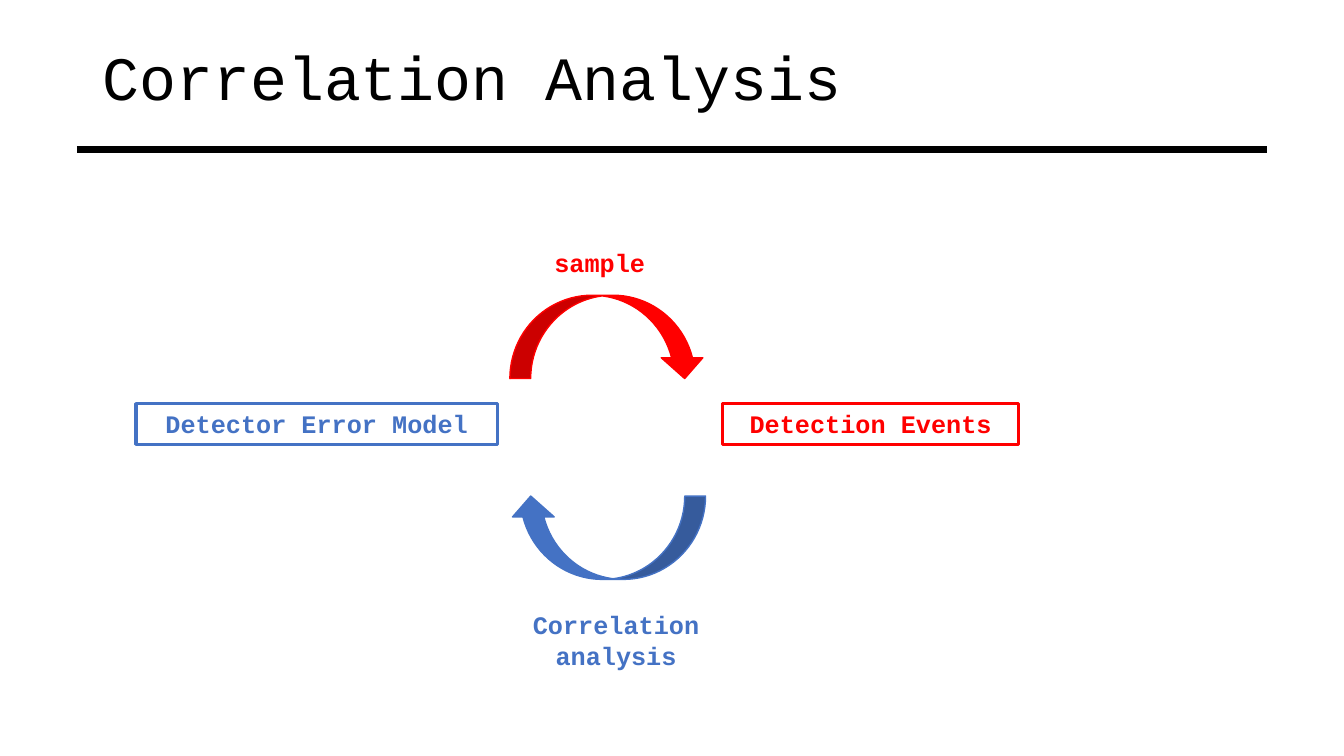
from lxml.etree import SubElement
from pptx import Presentation
from pptx.dml.color import RGBColor
from pptx.enum.shapes import MSO_CONNECTOR, MSO_SHAPE
from pptx.enum.text import MSO_ANCHOR, PP_ALIGN
from pptx.oxml.ns import qn
from pptx.util import Cm, Pt

BLACK, RED, BLUE = "000000", "FF0000", "4472C4"


def color(value):
    return RGBColor.from_string(value)


class SlideBuilder:
    """Draws styled elements on one slide, with lengths in centimetres."""

    font_name = "Courier New"
    label_size = 18

    def __init__(self, slide):
        self.slide = slide

    def add_text(self, shape, text, hue, size, bold, align, anchor, spacing=1.0):
        frame = shape.text_frame
        frame.word_wrap = True
        frame.vertical_anchor = anchor
        paragraph = frame.paragraphs[0]
        paragraph.alignment = align
        paragraph.line_spacing = spacing
        run = paragraph.add_run()
        run.text = text
        run.font.name = self.font_name
        run.font.size = Pt(size)
        run.font.bold = bold
        run.font.color.rgb = color(hue)

    def title(self, text, left, top, width, height):
        shape = self.slide.shapes.add_textbox(Cm(left), Cm(top), Cm(width), Cm(height))
        self.add_text(shape, text, BLACK, 44, False, PP_ALIGN.LEFT, MSO_ANCHOR.MIDDLE, 0.9)

    def label(self, text, hue, left, top, width, height, align=PP_ALIGN.CENTER):
        shape = self.slide.shapes.add_textbox(Cm(left), Cm(top), Cm(width), Cm(height))
        self.add_text(shape, text, hue, self.label_size, True, align, MSO_ANCHOR.TOP)
        return shape

    def box(self, text, hue, left, top, width, height):
        shape = self.label(text, hue, left, top, width, height)
        shape.line.color.rgb = color(hue)
        shape.line.width = Pt(2.25)

    def rule(self, left, right, top):
        line = self.slide.shapes.add_connector(
            MSO_CONNECTOR.STRAIGHT, Cm(left), Cm(top), Cm(right), Cm(top)
        )
        line.line.color.rgb = color(BLACK)
        line.line.width = Pt(4.5)
        SubElement(line._element.spPr, qn("a:effectLst"))

    def curved_arrow(self, hue, left, top, width, height, rotation=0):
        shape = self.slide.shapes.add_shape(
            MSO_SHAPE.CURVED_DOWN_ARROW, Cm(left), Cm(top), Cm(width), Cm(height)
        )
        shape.rotation = rotation
        shape.shadow.inherit = False
        shape.fill.solid()
        shape.fill.fore_color.rgb = color(hue)
        shape.line.color.rgb = color(hue)
        shape.line.width = Pt(1)


def main():
    presentation = Presentation()
    presentation.slide_width = Cm(33.87)
    presentation.slide_height = Cm(19.05)
    builder = SlideBuilder(presentation.slides.add_slide(presentation.slide_layouts[6]))

    builder.title("Correlation Analysis", 2.33, 0.2, 29.21, 3.68)
    builder.rule(1.94, 31.93, 3.77)

    builder.box("Detector Error Model", BLUE, 3.43, 10.17, 9.1, 1.03)
    builder.box("Detection Events", RED, 18.21, 10.17, 7.46, 1.03)

    builder.curved_arrow(RED, 12.85, 7.44, 4.93, 2.1)
    builder.label("sample", RED, 13.72, 6.12, 4.27, 1.03, PP_ALIGN.LEFT)
    builder.curved_arrow(BLUE, 12.85, 12.5, 4.93, 2.1, rotation=180)
    builder.label("Correlation analysis", BLUE, 13.06, 15.24, 4.93, 1.8)

    presentation.save("out.pptx")


if __name__ == "__main__":
    main()
